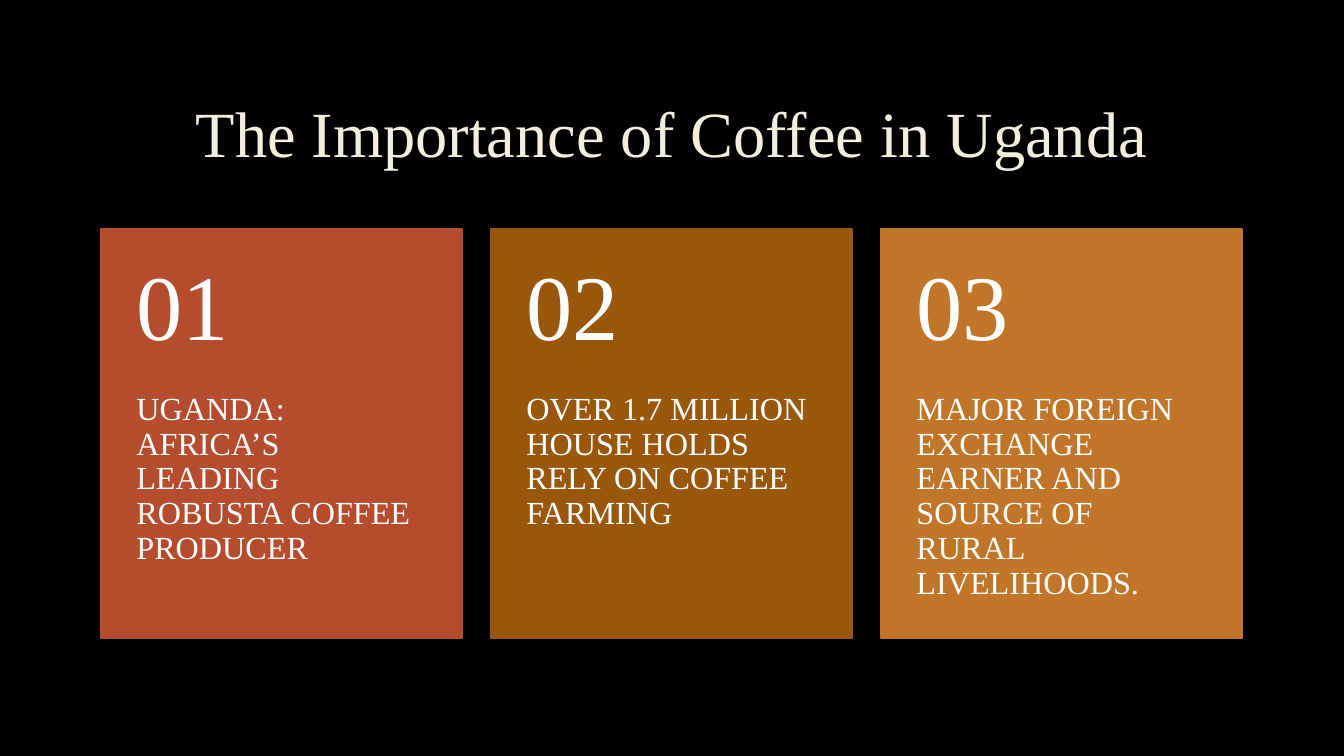
from pptx import Presentation
from pptx.dml.color import RGBColor
from pptx.enum.shapes import MSO_SHAPE
from pptx.enum.text import MSO_ANCHOR, MSO_AUTO_SIZE, PP_ALIGN
from pptx.util import Pt

FONT = "Times New Roman"
COLOURS = {
    "background": "000000",
    "title": "F4EEDC",
    "card text": "FFFFFF",
    "red": "B54C2D",
    "brown": "99570C",
    "orange": "C17529",
}
CARDS = [
    ("red", "UGANDA: AFRICA’S LEADING ROBUSTA COFFEE PRODUCER"),
    ("brown", "OVER 1.7 MILLION HOUSE HOLDS RELY ON COFFEE FARMING"),
    ("orange", "MAJOR FOREIGN EXCHANGE EARNER AND SOURCE OF RURAL LIVELIHOODS."),
]
TITLE_BOX = (72, 48.2, 815, 99.4)
CARDS_BOX = (72, 163.4, 815, 292.4)
CARD_GAP = 20.8
NUMBER_SHARE = 0.4
SIDE_INSET = 25.4


def colour(name):
    return RGBColor.from_string(COLOURS[name])


def write(frame, text, size, colour_name, align):
    frame.text = text
    frame.word_wrap = True
    frame.auto_size = MSO_AUTO_SIZE.NONE
    para = frame.paragraphs[0]
    para.alignment = align
    para.line_spacing = 0.9
    font = para.runs[0].font
    font.name = FONT
    font.size = Pt(size)
    font.color.rgb = colour(colour_name)


def add_title(page, box, text):
    title = page.shapes.title
    title.left, title.top, title.width, title.height = map(Pt, box)
    write(title.text_frame, text, 46, "title", PP_ALIGN.CENTER)
    title.text_frame.vertical_anchor = MSO_ANCHOR.MIDDLE


def add_card_text(group, box, text, size, anchor, top_inset, bottom_inset):
    frame = group.shapes.add_textbox(*map(Pt, box)).text_frame
    write(frame, text, size, "card text", PP_ALIGN.LEFT)
    frame.vertical_anchor = anchor
    frame.margin_left = frame.margin_right = Pt(SIDE_INSET)
    frame.margin_top = Pt(top_inset)
    frame.margin_bottom = Pt(bottom_inset)


def add_card(group, box, number, text, fill):
    left, top, width, height = box
    panel = group.shapes.add_shape(MSO_SHAPE.RECTANGLE, *map(Pt, box))
    panel.shadow.inherit = False
    panel.fill.solid()
    panel.fill.fore_color.rgb = colour(fill)
    panel.line.color.rgb = colour(fill)
    panel.line.width = Pt(1.25)

    number_height = height * NUMBER_SHARE
    text_box = (left, top + number_height, width, height - number_height)
    number_box = (left, top, width, number_height)
    add_card_text(group, text_box, text, 23, MSO_ANCHOR.TOP, 0, 26)
    add_card_text(group, number_box, f"{number:02}", 66, MSO_ANCHOR.MIDDLE, 13, 13)


def add_card_row(page, box):
    left, top, width, height = box
    card_width = (width - CARD_GAP * (len(CARDS) - 1)) / len(CARDS)
    group = page.shapes.add_group_shape()
    for index, (fill, text) in enumerate(CARDS):
        card_left = left + index * (card_width + CARD_GAP)
        add_card(group, (card_left, top, card_width, height), index + 1, text, fill)


def main():
    deck = Presentation()
    deck.slide_width, deck.slide_height = Pt(960), Pt(540)
    page = deck.slides.add_slide(deck.slide_layouts.get_by_name("Title Only"))
    page.background.fill.solid()
    page.background.fill.fore_color.rgb = colour("background")
    add_title(page, TITLE_BOX, "The Importance of Coffee in Uganda")
    add_card_row(page, CARDS_BOX)
    deck.save("out.pptx")


if __name__ == "__main__":
    main()
